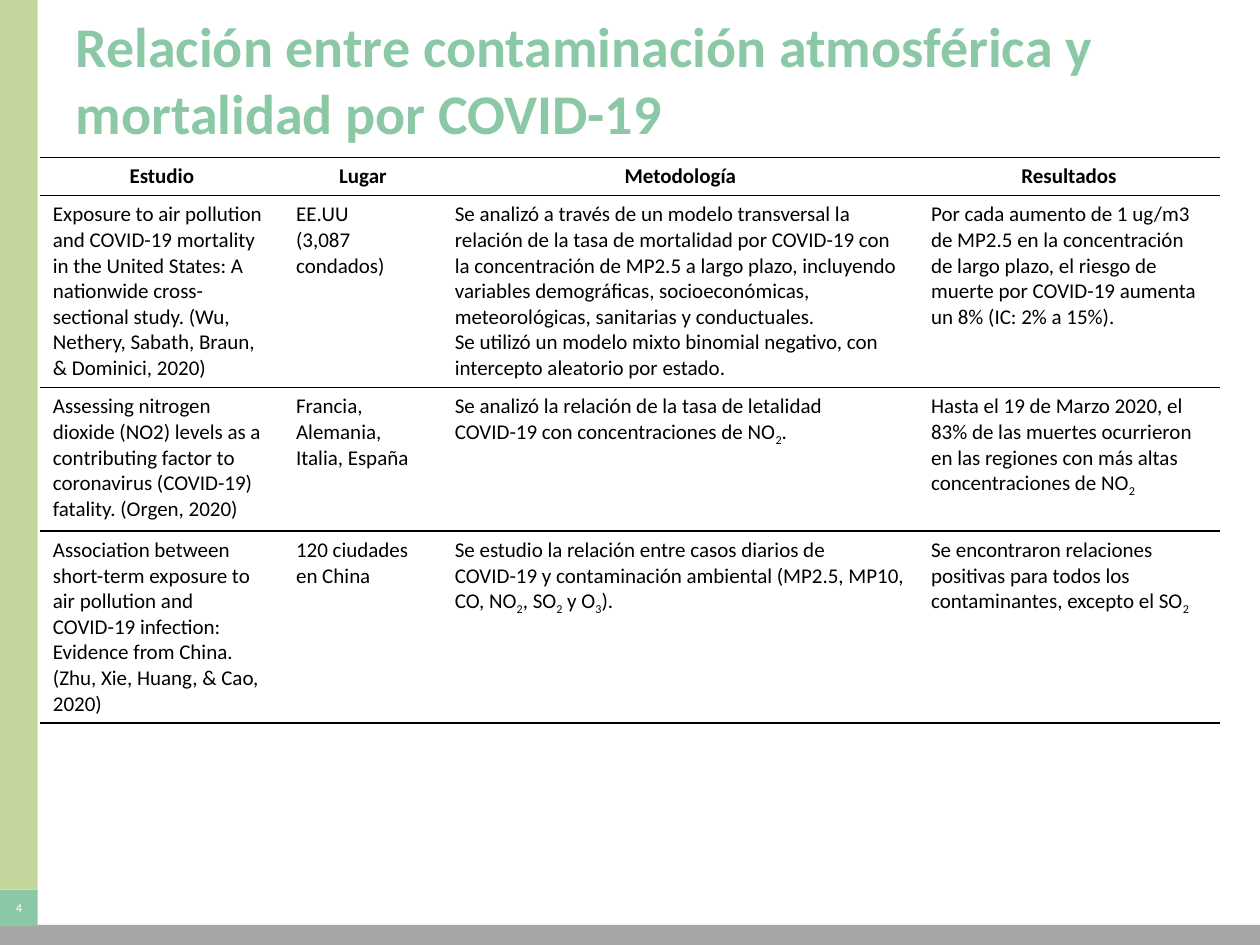
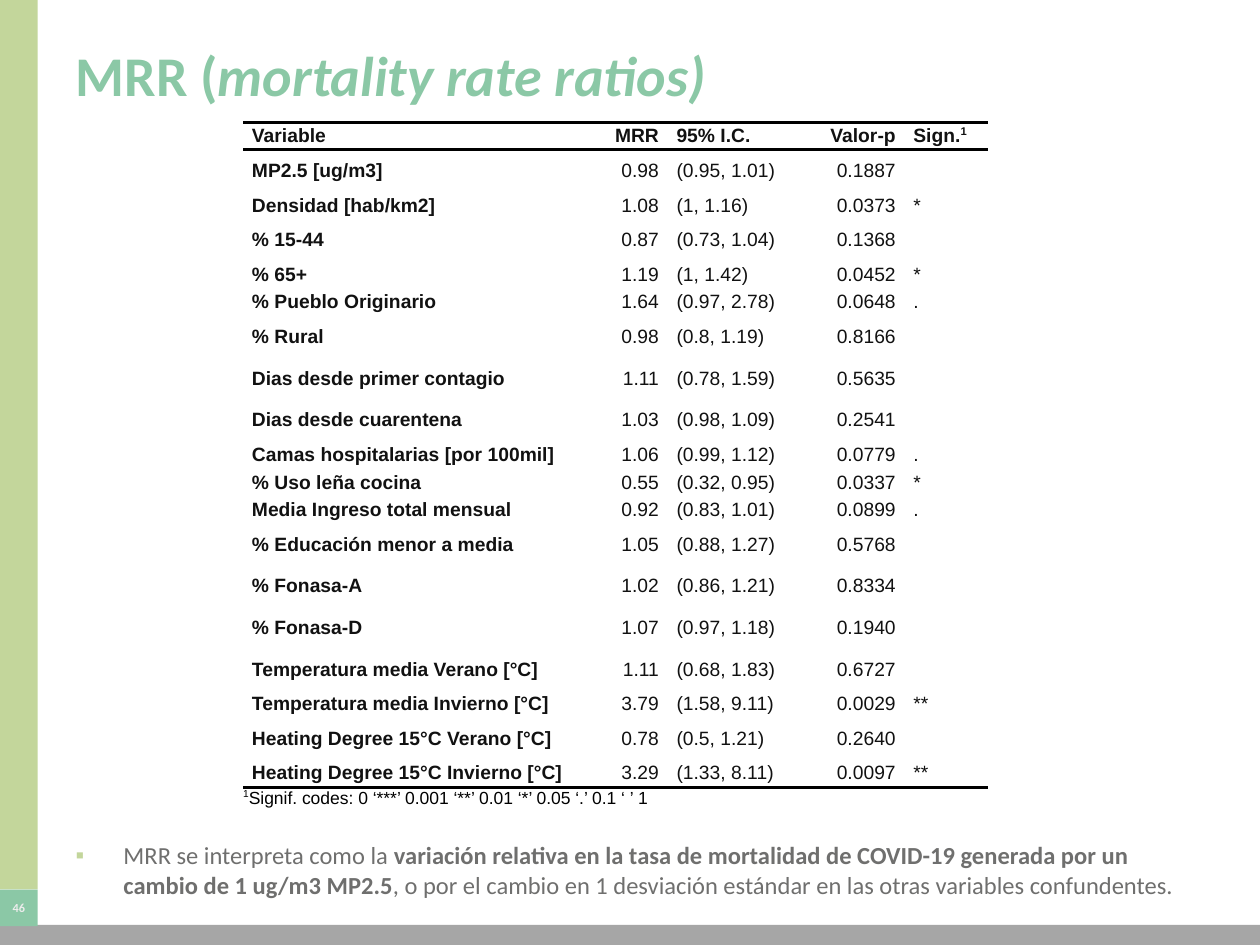
from pptx import Presentation
from pptx.dml.color import RGBColor
from pptx.enum.shapes import MSO_SHAPE
from pptx.enum.text import MSO_ANCHOR, MSO_AUTO_SIZE, PP_ALIGN
from pptx.oxml import parse_xml
from pptx.oxml.ns import nsdecls
from pptx.util import Inches, Pt

LIME = RGBColor(0xC3, 0xD6, 0x9B)
MINT = RGBColor(0x8B, 0xC8, 0xA6)
GRAY = RGBColor(0xA6, 0xA6, 0xA6)
PALE = RGBColor(0xEC, 0xEC, 0xEC)
SLATE = RGBColor(0x6F, 0x6F, 0x6E)
INK = RGBColor(0x11, 0x11, 0x11)
BLACK = RGBColor(0, 0, 0)
PLAIN_STYLE = "{2D5ABB26-0587-4C30-8999-92F81FD0307C}"
SUB, SUPER = -25, 40

STUDIES = [
    ("Estudio", "Lugar", "Metodología", "Resultados"),
    ("Exposure to air pollution and COVID-19 mortality in the United States: "
     "A nationwide cross-sectional study. (Wu, Nethery, Sabath, Braun, & Dominici, 2020)",
     "EE.UU\n(3,087 condados)",
     "Se analizó a través de un modelo transversal la relación de la tasa de "
     "mortalidad por COVID-19 con la concentración de MP2.5 a largo plazo, incluyendo "
     "variables demográficas, socioeconómicas, meteorológicas, sanitarias y conductuales.\n"
     "Se utilizó un modelo mixto binomial negativo, con intercepto aleatorio por estado.",
     "Por cada aumento de 1 ug/m3 de MP2.5 en la concentración de largo plazo, el riesgo "
     "de muerte por COVID-19 aumenta un 8% (IC: 2% a 15%)."),
    ("Assessing nitrogen dioxide (NO2) levels as a contributing factor to coronavirus "
     "(COVID-19) fatality. (Orgen, 2020)",
     "Francia, Alemania,\nItalia, España",
     "Se analizó la relación de la tasa de letalidad COVID-19 con concentraciones de NO|2|.",
     "Hasta el 19 de Marzo 2020, el 83% de las muertes ocurrieron en las regiones con más "
     "altas concentraciones de NO|2"),
    ("Association between short-term exposure to air pollution and COVID-19 infection: "
     "Evidence from China. (Zhu, Xie, Huang, & Cao, 2020)",
     "120 ciudades en China",
     "Se estudio la relación entre casos diarios de COVID-19 y contaminación ambiental "
     "(MP2.5, MP10, CO, NO|2|, SO|2| y O|3|).",
     "Se encontraron relaciones positivas para todos los contaminantes, excepto el SO|2"),
]

RATIOS = [
    ("Variable", "MRR", "95% I.C.", "Valor-p", "Sign.|1"),
    ("MP2.5 [ug/m3]", "0.98", "(0.95, 1.01)", "0.1887", ""),
    ("Densidad [hab/km2]", "1.08", "(1, 1.16)", "0.0373", "*"),
    ("% 15-44", "0.87", "(0.73, 1.04)", "0.1368", ""),
    ("% 65+", "1.19", "(1, 1.42)", "0.0452", "*"),
    ("% Pueblo Originario", "1.64", "(0.97, 2.78)", "0.0648", "."),
    ("% Rural", "0.98", "(0.8, 1.19)", "0.8166", ""),
    ("Dias desde primer contagio", "1.11", "(0.78, 1.59)", "0.5635", ""),
    ("Dias desde cuarentena", "1.03", "(0.98, 1.09)", "0.2541", ""),
    ("Camas hospitalarias [por 100mil]", "1.06", "(0.99, 1.12)", "0.0779", "."),
    ("% Uso leña cocina", "0.55", "(0.32, 0.95)", "0.0337", "*"),
    ("Media Ingreso total mensual", "0.92", "(0.83, 1.01)", "0.0899", "."),
    ("% Educación menor a media", "1.05", "(0.88, 1.27)", "0.5768", ""),
    ("% Fonasa-A", "1.02", "(0.86, 1.21)", "0.8334", ""),
    ("% Fonasa-D", "1.07", "(0.97, 1.18)", "0.1940", ""),
    ("Temperatura media Verano [°C]", "1.11", "(0.68, 1.83)", "0.6727", ""),
    ("Temperatura media Invierno [°C]", "3.79", "(1.58, 9.11)", "0.0029", "**"),
    ("Heating Degree 15°C Verano [°C]", "0.78", "(0.5, 1.21)", "0.2640", ""),
    ("Heating Degree 15°C Invierno [°C]", "3.29", "(1.33, 8.11)", "0.0097", "**"),
]
CODES = "|1|Signif. codes: 0 ‘***’ 0.001 ‘**’ 0.01 ‘*’ 0.05 ‘.’ 0.1 ‘ ’ 1"


def write(frame, text, size, color, face="Calibri", bold=False, align=PP_ALIGN.LEFT,
          shift=0, accent=None):
    """Fill a frame; every second piece between bars is shifted or gets the accent."""
    for row, line in enumerate(text.split("\n")):
        para = frame.add_paragraph() if row else frame.paragraphs[0]
        para.alignment = align
        for spot, piece in enumerate(line.split("|")):
            if not piece:
                continue
            run = para.add_run()
            run.text = piece
            font = run.font
            font.size, font.name, font.bold = Pt(size), face, bold
            font.color.rgb = color
            if spot % 2 and shift:
                run._r.get_or_add_rPr().set("baseline", str(shift * 1000))
            if spot % 2 and accent:
                setattr(font, accent, True)


def place(shape, left, top, width, height):
    shape.left, shape.top = Inches(left), Inches(top)
    shape.width, shape.height = Inches(width), Inches(height)
    shape.text_frame.word_wrap = True
    shape.text_frame.auto_size = MSO_AUTO_SIZE.NONE


def add_band(slide, left, top, width, height, color):
    band = slide.shapes.add_shape(MSO_SHAPE.RECTANGLE, Inches(left), Inches(top),
                                  Inches(width), Inches(height))
    band.shadow.inherit = False
    band.fill.solid()
    band.fill.fore_color.rgb = color
    band.line.fill.background()
    return band


def add_page(deck, layout, number, title, top=0):
    slide = deck.slides.add_slide(deck.slide_layouts[layout])
    add_band(slide, 0, 0, 0.3, 7.06, LIME)
    add_band(slide, 0, 7.34, 10, 0.16, GRAY)
    badge = add_band(slide, 0, 7.06, 0.3, 0.29, MINT).text_frame
    badge.margin_left = badge.margin_right = 0
    badge.vertical_anchor = MSO_ANCHOR.MIDDLE
    write(badge, number, 7, PALE, bold=True, align=PP_ALIGN.CENTER)
    head = slide.shapes.title
    place(head, 0.5, top, 9, 1.25)
    head.text_frame.vertical_anchor = MSO_ANCHOR.MIDDLE
    write(head.text_frame, title, 32, MINT, bold=True, accent="italic")
    return slide


def add_grid(slide, left, top, widths, heights):
    frame = slide.shapes.add_table(len(heights), len(widths), Inches(left), Inches(top),
                                   Inches(sum(widths)), Inches(sum(heights)))
    grid = frame.table
    grid.first_row = grid.horz_banding = False
    grid._tbl.tblPr.find("{*}tableStyleId").text = PLAIN_STYLE
    for col, width in zip(grid.columns, widths):
        col.width = Inches(width)
    for row, height in zip(grid.rows, heights):
        row.height = Inches(height)
    return grid


def rule(cell, sides, points):
    """Draw black borders on the given sides, T before B, and clear the fill."""
    props = cell._tc.get_or_add_tcPr()
    for side in sides:
        props.append(parse_xml(
            f'<a:ln{side} {nsdecls("a")} w="{Pt(points)}"><a:solidFill>'
            f'<a:srgbClr val="{BLACK}"/></a:solidFill></a:ln{side}>'))
    cell.fill.background()


def add_studies(slide):
    grid = add_grid(slide, 0.32, 1.25, [1.93, 1.26, 3.78, 2.39], [0.3, 1.52, 1.14, 1.52])
    for r, row in enumerate(STUDIES):
        for c, text in enumerate(row):
            cell = grid.cell(r, c)
            rule(cell, "B" if r else "TB", 1)
            if r == 0:
                cell.vertical_anchor = MSO_ANCHOR.MIDDLE
            write(cell.text_frame, text, 12, BLACK, bold=r == 0, shift=SUB,
                  align=PP_ALIGN.LEFT if r else PP_ALIGN.CENTER)


def add_ratios(slide):
    heights = [0.22 if row[-1] else 0.33 for row in RATIOS] + [0.18]
    grid = add_grid(slide, 1.93, 0.97, [2.74, 0.63, 1.07, 0.81, 0.66], heights)
    last = len(RATIOS) - 1
    for r, row in enumerate(RATIOS):
        for c, text in enumerate(row):
            cell = grid.cell(r, c)
            rule(cell, {0: "TB", last: "B"}.get(r, ""), 2)
            cell.margin_left = cell.margin_right = Inches(0.07)
            cell.margin_top = cell.margin_bottom = 0
            cell.vertical_anchor = MSO_ANCHOR.MIDDLE
            write(cell.text_frame, text, 11, INK, "Arial", bold=r == 0 or c == 0,
                  align=PP_ALIGN.RIGHT if c in (1, 3) else PP_ALIGN.LEFT, shift=SUPER)
    foot = grid.cell(last + 1, 0)
    foot.merge(grid.cell(last + 1, 4))
    rule(foot, "", 0)
    foot.margin_left = foot.margin_right = foot.margin_top = foot.margin_bottom = 0
    foot.vertical_anchor = MSO_ANCHOR.MIDDLE
    write(foot.text_frame, CODES, 10, BLACK, "Arial", shift=SUPER)


def add_note(slide, text):
    body = slide.placeholders[1]
    place(body, 0.5, 6.62, 9, 0.67)
    props = body.text_frame.paragraphs[0]._p.get_or_add_pPr()
    props.set("marL", str(Inches(0.38)))
    props.set("indent", str(Inches(-0.38)))
    for xml in (f'<a:spcBef {nsdecls("a")}><a:spcPts val="0"/></a:spcBef>',
                f'<a:buClr {nsdecls("a")}><a:srgbClr val="{LIME}"/></a:buClr>',
                f'<a:buFont {nsdecls("a")} typeface="Arial"/>',
                f'<a:buChar {nsdecls("a")} char="▪"/>'):
        props.append(parse_xml(xml))
    write(body.text_frame, text, 14, SLATE, accent="bold")


def main():
    deck = Presentation()
    deck.slide_width, deck.slide_height = Inches(10), Inches(7.5)
    slide = add_page(deck, 5, "4",
                     "Relación entre contaminación atmosférica y mortalidad por COVID-19")
    add_studies(slide)
    slide = add_page(deck, 1, "46", "MRR (|mortality rate ratios)", top=-0.04)
    add_note(slide, "MRR se interpreta como la |variación relativa en la tasa de mortalidad "
             "de COVID-19 generada por un cambio de 1 ug/m3 MP2.5|, o por el cambio en 1 "
             "desviación estándar en las otras variables confundentes.")
    add_ratios(slide)
    deck.save("out.pptx")


if __name__ == "__main__":
    main()
